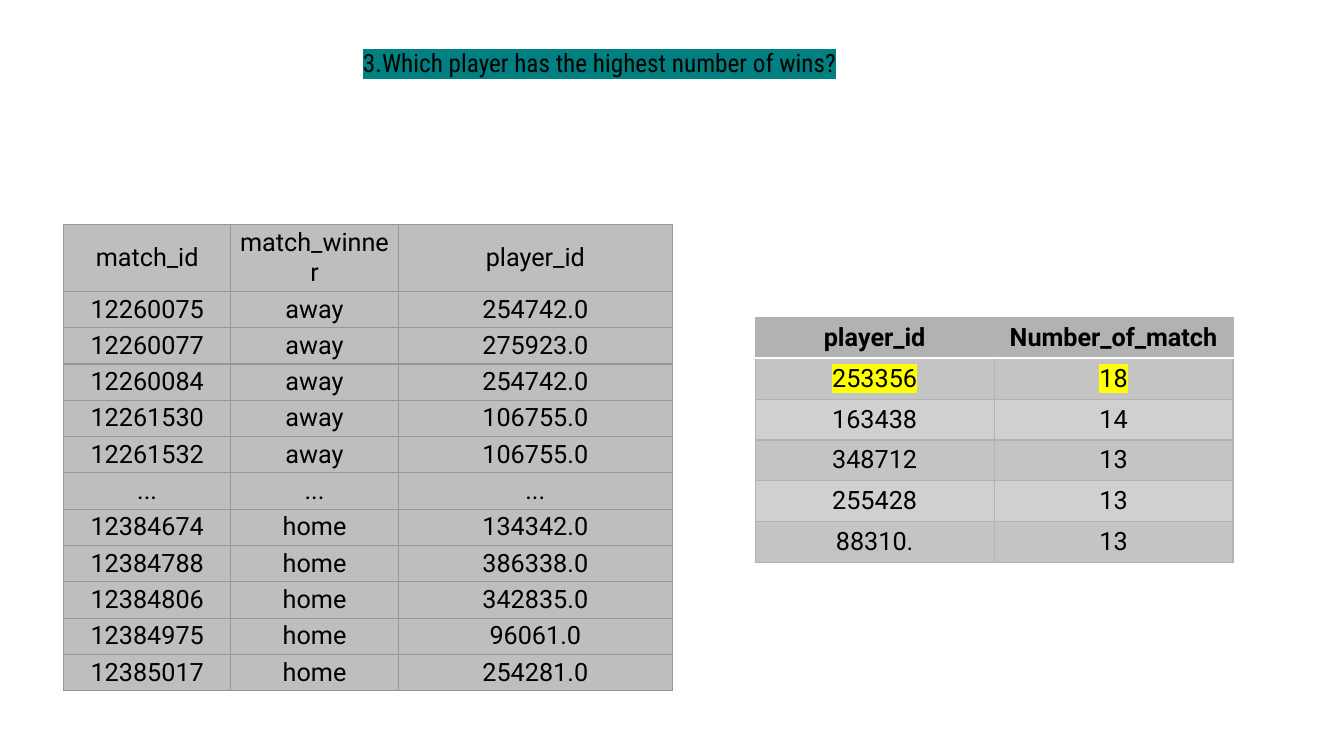
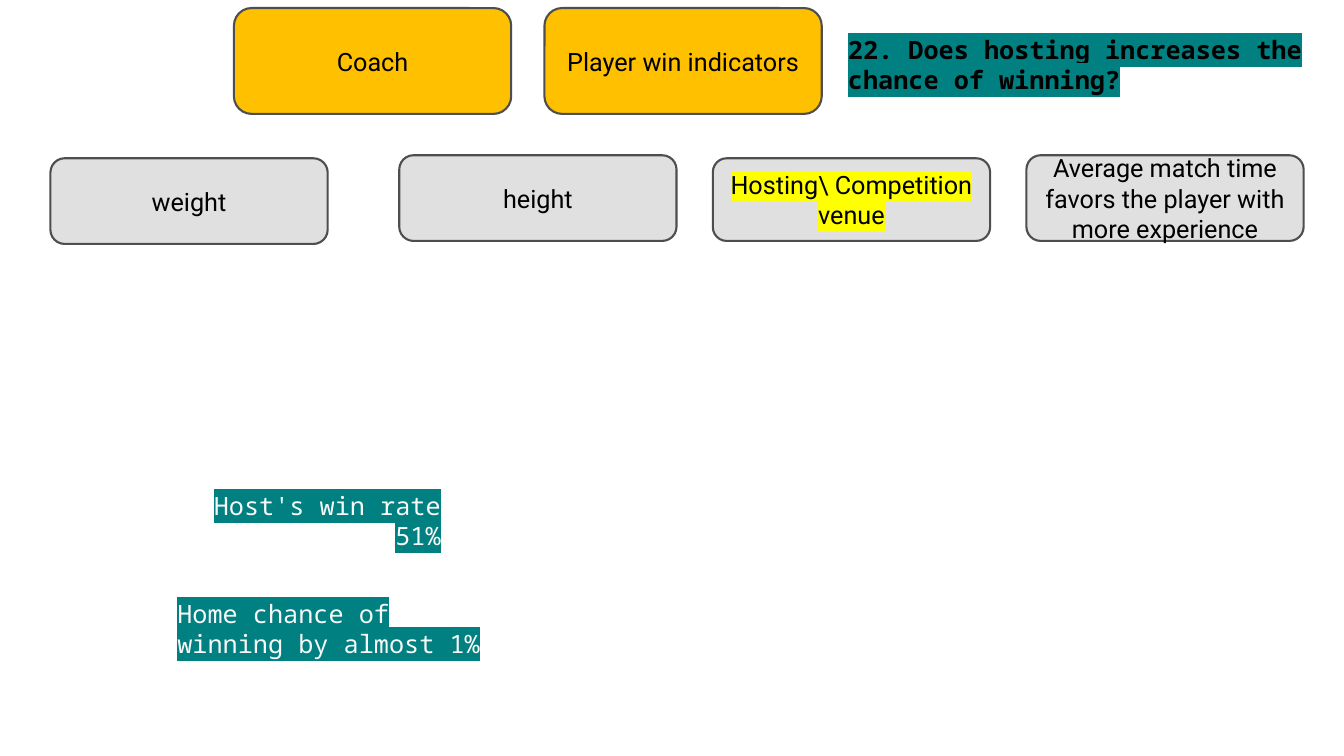
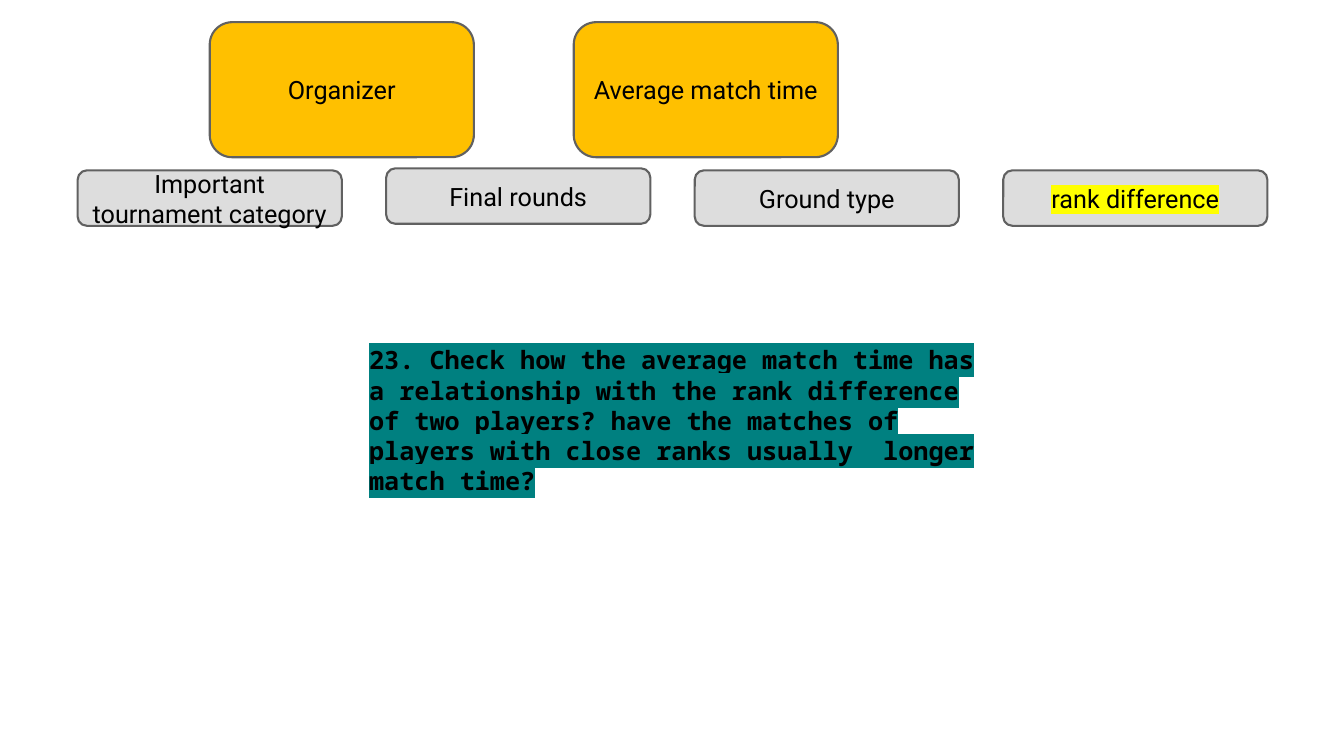
from lxml import etree
from pptx import Presentation
from pptx.dml.color import RGBColor
from pptx.enum.shapes import MSO_SHAPE
from pptx.enum.text import MSO_ANCHOR, MSO_AUTO_SIZE, PP_ALIGN
from pptx.oxml.ns import qn
from pptx.util import Inches, Pt

# Shared look
BLACK, PALE, WHITE = "000000", "F8F8F8", "FFFFFF"
TEAL, YELLOW, AMBER = "008080", "FFFF00", "FFC000"
BODY, MONO, CONDENSED = "Roboto", "Noto Sans Mono", "Roboto Condensed"
TEXT_SIZE = Pt(18)
TITLE_ONLY = 5


def rgb(hex_code):
    return RGBColor.from_string(hex_code)


def inches(box):
    return [Inches(length) for length in box]


def write(frame, text, font=BODY, color=BLACK, bold=False,
          align=PP_ALIGN.CENTER, marker=None):
    """Put one styled paragraph in a frame, optionally highlighted."""
    paragraph = frame.paragraphs[0]
    paragraph.alignment = align
    style = paragraph.font
    style.name, style.size, style.bold = font, TEXT_SIZE, bold
    style.color.rgb = rgb(color)
    run = paragraph.add_run()
    run.text = text
    if marker:
        highlight = etree.SubElement(run.font._element, qn("a:highlight"))
        etree.SubElement(highlight, qn("a:srgbClr"), val=marker)


def add_question(deck, text, box, font=MONO, bold=True):
    """Start a slide whose title is a highlighted question."""
    slide = deck.slides.add_slide(deck.slide_layouts[TITLE_ONLY])
    title = slide.shapes.title
    title.left, title.top, title.width, title.height = inches(box)
    frame = title.text_frame
    frame.word_wrap = True
    frame.auto_size = MSO_AUTO_SIZE.SHAPE_TO_FIT_TEXT
    frame.vertical_anchor = MSO_ANCHOR.TOP
    write(frame, text, font, bold=bold, align=PP_ALIGN.LEFT, marker=TEAL)
    return slide


def add_node(slide, text, box, fill=None, line=None, **style):
    """Add a rounded box; without colours only its text shows."""
    node = slide.shapes.add_shape(MSO_SHAPE.ROUNDED_RECTANGLE, *inches(box))
    node.shadow.inherit = False
    if fill:
        node.fill.solid()
        node.fill.fore_color.rgb = rgb(fill)
        node.line.color.rgb = rgb(line)
        node.line.width = Pt(1.5)
    else:
        node.fill.background()
        node.line.fill.background()
    node.text_frame.word_wrap = True
    node.text_frame.vertical_anchor = MSO_ANCHOR.MIDDLE
    write(node.text_frame, text, **style)


def set_border(cell, side, color, width):
    border = etree.Element(qn(f"a:ln{side}"), w=str(Pt(width)))
    fill = etree.SubElement(border, qn("a:solidFill"))
    etree.SubElement(fill, qn("a:srgbClr"), val=color)
    return border


def add_grid(slide, rows, corner, widths, heights, fills, border, insets,
             bold_header=False, marked_row=None, header_rule=None):
    """Add a table; the fills alternate below the header's own fill."""
    box = (*corner, sum(widths), sum(heights))
    table = slide.shapes.add_table(len(rows), len(widths), *inches(box)).table
    table.first_row = table.horz_banding = False
    for column, width in zip(table.columns, widths):
        column.width = Inches(width)
    header_fill, *bands = fills
    for r, values in enumerate(rows):
        table.rows[r].height = Inches(heights[r])
        for c, value in enumerate(values):
            cell = table.cell(r, c)
            cell.vertical_anchor = MSO_ANCHOR.MIDDLE
            cell.margin_left = cell.margin_right = Inches(insets[0])
            cell.margin_top = cell.margin_bottom = Inches(insets[1])
            write(cell.text_frame, value, bold=bold_header and r == 0,
                  marker=YELLOW if r == marked_row else None)
            # Borders precede the fill in the cell's properties
            ruled = {"B": 0, "T": 1}
            properties = cell._tc.get_or_add_tcPr()
            for side in "LRTB":
                on_rule = header_rule and ruled.get(side) == r
                color, width = header_rule if on_rule else border
                properties.append(set_border(cell, side, color, width))
            cell.fill.solid()
            fill = bands[(r - 1) % len(bands)] if r else header_fill
            cell.fill.fore_color.rgb = rgb(fill)


def build_wins(deck):
    slide = add_question(deck, "3.Which player has the highest number of wins?",
                         (3.5, 0.42, 6.67, 0.4), CONDENSED, bold=False)
    # Winner of each match
    matches = [
        ("match_id", "match_winner", "player_id"),
        ("12260075", "away", "254742.0"),
        ("12260077", "away", "275923.0"),
        ("12260084", "away", "254742.0"),
        ("12261530", "away", "106755.0"),
        ("12261532", "away", "106755.0"),
        ("...", "...", "..."),
        ("12384674", "home", "134342.0"),
        ("12384788", "home", "386338.0"),
        ("12384806", "home", "342835.0"),
        ("12384975", "home", "96061.0"),
        ("12385017", "home", "254281.0"),
    ]
    add_grid(slide, matches, (0.63, 2.23), (1.66, 1.66, 2.72),
             [0.64] + [0.35] * 11, ("BEBEBE", "BEBEBE"), ("969696", 1),
             (0.06, 0.03))
    # Players with most wins
    leaders = [
        ("player_id", "Number_of_match"),
        ("253356", "18"),
        ("163438", "14"),
        ("348712", "13"),
        ("255428", "13"),
        ("88310.", "13"),
    ]
    add_grid(slide, leaders, (7.49, 3.15), (2.37, 2.37), [0.405] * 6,
             ("B2B2B2", "C4C4C4", "D0D0D0"), ("B2B2B2", 1), (0.1, 0.05),
             bold_header=True, marked_row=1, header_rule=(WHITE, 1.5))


def build_hosting(deck):
    slide = add_question(
        deck, "22. Does hosting increases the chance of winning?",
        (8.31, 0.29, 4.71, 0.71))
    width, line = 2.75, "4E4E4E"
    # Topics
    for i, topic in enumerate(("Coach", "Player win indicators")):
        add_node(slide, topic, (2.32 + 3.08 * i, 0.08, width, 1.05),
                 AMBER, line)
    # Factors
    factors = [
        ("weight", 0.5, 1.57, 0.85, None),
        ("height", 3.96, 1.54, 0.85, None),
        ("Hosting\\ Competition venue", 7.07, 1.57, 0.82, YELLOW),
        ("Average match time favors the player with more experience",
         10.18, 1.54, 0.85, None),
    ]
    for factor, left, top, height, marker in factors:
        add_node(slide, factor, (left, top, width, height), "E0E0E0", line,
                 marker=marker)
    # Findings
    findings = [
        ("Host's win rate 51%", (1.51, 4.65, 3.01, 1.03), PP_ALIGN.RIGHT),
        ("Home chance of winning by almost 1%", (1.61, 5.72, 3.42, 1.03),
         PP_ALIGN.LEFT),
    ]
    for finding, box, align in findings:
        add_node(slide, finding, box, font=MONO, color=PALE, align=align,
                 marker=TEAL)


def build_match_time(deck):
    slide = add_question(
        deck,
        "23. Check how the average match time has a relationship with the "
        "rank difference of two players? have the matches of players with "
        "close ranks usually  longer match time?",
        (3.56, 3.37, 6.47, 1.31))
    width, line = 2.62, "616161"
    # Topics
    for i, topic in enumerate(("Organizer", "Average match time")):
        add_node(slide, topic, (2.08 + 3.61 * i, 0.22, width, 1.34),
                 AMBER, line)
    # Factors
    factors = [
        ("Important tournament category", 1.69, None),
        ("Final rounds", 1.67, None),
        ("Ground type", 1.69, None),
        ("rank difference", 1.69, YELLOW),
    ]
    for i, (factor, top, marker) in enumerate(factors):
        add_node(slide, factor, (0.77 + 3.06 * i, top, width, 0.55),
                 "DDDDDD", line, marker=marker)


def main():
    deck = Presentation()
    deck.slide_width, deck.slide_height = Inches(13.33), Inches(7.5)
    build_wins(deck)
    build_hosting(deck)
    build_match_time(deck)
    deck.save("out.pptx")


if __name__ == "__main__":
    main()
